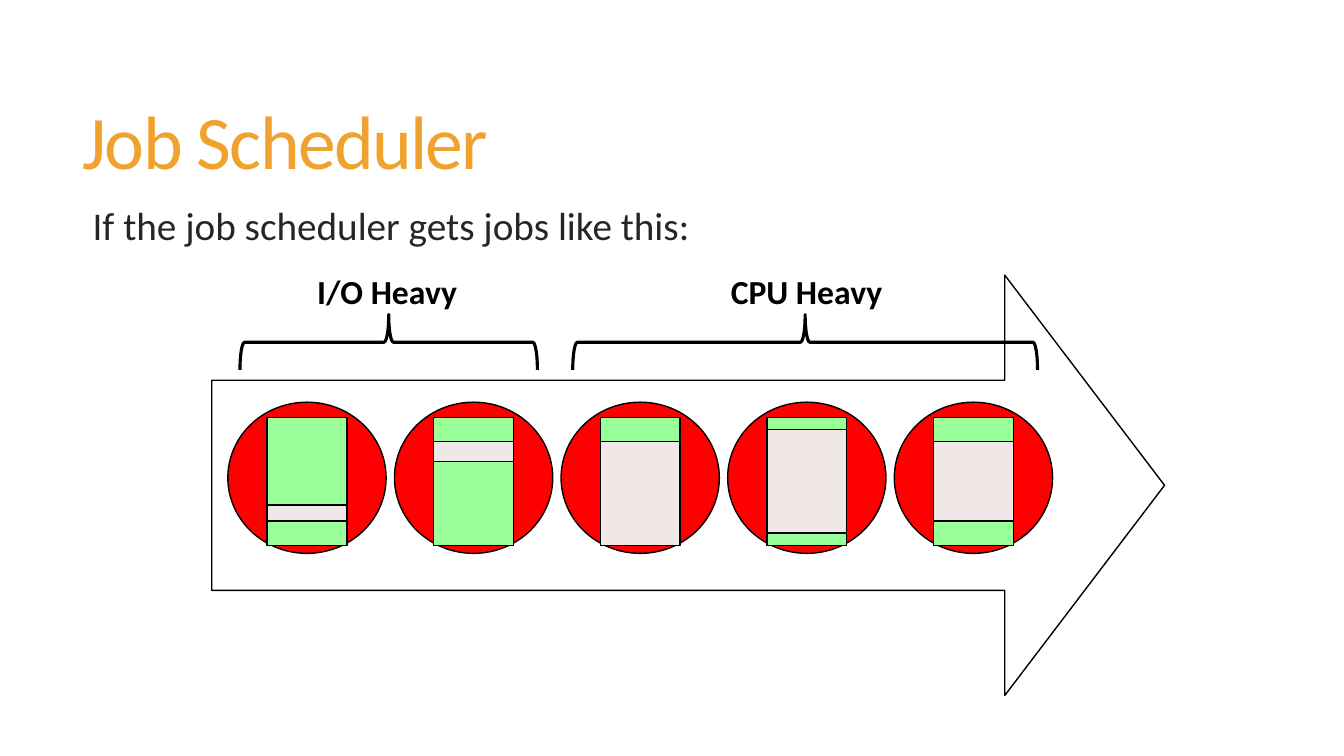
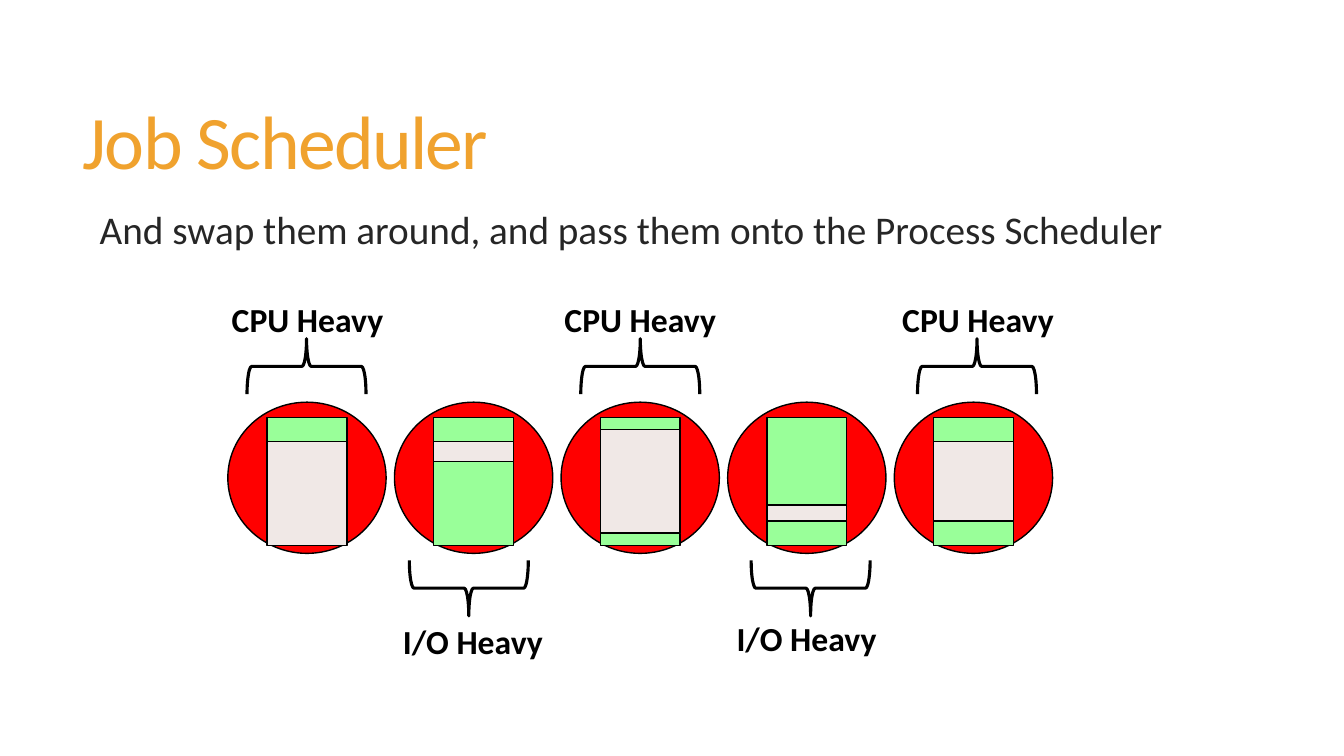
from pptx import Presentation
from pptx.dml.color import RGBColor
from pptx.enum.shapes import MSO_SHAPE
from pptx.enum.text import MSO_ANCHOR, PP_ALIGN
from pptx.util import Pt

OVAL, RECT = MSO_SHAPE.OVAL, MSO_SHAPE.RECTANGLE
ARROW, BRACE = MSO_SHAPE.RIGHT_ARROW, MSO_SHAPE.LEFT_BRACE
LEFT, CENTER = PP_ALIGN.LEFT, PP_ALIGN.CENTER
TOP, MIDDLE = MSO_ANCHOR.TOP, MSO_ANCHOR.MIDDLE

PX = 9144  # 100 px to the inch
COLORS = {
    "title": "F0A22E", "body": "262626", "black": "000000",
    "job": "FF0000", "io": "99FF99", "cpu": "F0E8E6",
}
TITLE = {"size": Pt(54), "bold": False, "color": "title", "align": LEFT,
         "anchor": MIDDLE, "line": 0.85, "indent": 0, "spacing": -120}
BODY = {"size": Pt(28), "bold": False, "color": "body", "align": LEFT,
        "anchor": TOP, "line": 0.85, "indent": 10, "spacing": 0}
LABEL = {"size": Pt(24), "bold": True, "color": "black", "align": CENTER,
         "anchor": TOP, "line": 1.0, "indent": 0, "spacing": 0}

# Bursts of each job from top to bottom, with their heights
JOBS = {
    "late io": [("io", 87), ("cpu", 16), ("io", 24)],
    "early io": [("io", 24), ("cpu", 20), ("io", 83)],
    "cpu to end": [("io", 24), ("cpu", 103)],
    "long cpu": [("io", 12), ("cpu", 103), ("io", 12)],
    "even cpu": [("io", 24), ("cpu", 79), ("io", 24)],
}
JOB_LEFT, JOB_TOP, JOB_PITCH = 226, 399, 165.25
JOB_WIDTH, JOB_HEIGHT = 157, 150
BURST_WIDTH, BURST_TOP = 79, 414
BRACE_DEPTH = 55
LABEL_WIDTH, LABEL_HEIGHT = 184, 50
UP, DOWN = 90, 270

# Braces: left, top, span, turn. Labels: text, left, top.
SLIDES = [
    {
        "body": ("If the job scheduler gets jobs like this:", 72, 202, 882),
        "arrow": True,
        "jobs": ["late io", "early io", "cpu to end", "long cpu", "even cpu"],
        "braces": [(238, 312, 295, UP), (568, 312, 461, UP)],
        "labels": [("I/O Heavy", 292, 264), ("CPU Heavy", 708, 264)],
    },
    {
        "body": ("And swap them around, and pass them onto the Process Scheduler",
                 79, 206, 1112),
        "arrow": False,
        "jobs": ["cpu to end", "early io", "long cpu", "late io", "even cpu"],
        "braces": [(245, 336, 118, UP), (576, 336, 118, UP), (910, 336, 118, UP),
                   (406, 556, 118, DOWN), (745, 556, 118, DOWN)],
        "labels": [("CPU Heavy", 213, 292), ("CPU Heavy", 543, 292),
                   ("CPU Heavy", 878, 292), ("I/O Heavy", 377, 611),
                   ("I/O Heavy", 708, 608)],
    },
]


def add_text(slide, text, left, top, width, height, style):
    box = slide.shapes.add_textbox(left * PX, top * PX, width * PX, height * PX)
    frame = box.text_frame
    frame.word_wrap = True
    frame.vertical_anchor = style["anchor"]
    paragraph = frame.paragraphs[0]
    paragraph.alignment = style["align"]
    paragraph.line_spacing = style["line"]
    paragraph._p.get_or_add_pPr().set("marL", str(style["indent"] * PX))
    run = paragraph.add_run()
    run.text = text
    for name, value in {"name": "Calibri", "size": style["size"], "bold": style["bold"]}.items():
        setattr(run.font, name, value)
    run.font.color.rgb = RGBColor.from_string(COLORS[style["color"]])
    run.font._element.set("spc", str(style["spacing"]))


def add_outlined(slide, kind, left, top, width, height, fill=None, weight=1):
    shape = slide.shapes.add_shape(
        kind, round(left * PX), round(top * PX), width * PX, height * PX)
    shape.shadow.inherit = False
    if fill:
        shape.fill.solid()
        shape.fill.fore_color.rgb = RGBColor.from_string(COLORS[fill])
    else:
        shape.fill.background()
    shape.line.color.rgb = RGBColor.from_string(COLORS["black"])
    shape.line.width = Pt(weight)
    return shape


deck = Presentation()
deck.slide_width, deck.slide_height = 1333 * PX, 750 * PX

for content in SLIDES:
    slide = deck.slides.add_slide(deck.slide_layouts[6])

    # Title and sentence
    add_text(slide, "Job Scheduler", 72, 55, 1178, 181, TITLE)
    sentence, left, top, width = content["body"]
    add_text(slide, sentence, left, top, width, 412, BODY)

    # Queue arrow
    if content["arrow"]:
        queue = add_outlined(slide, ARROW, 210, 273, 945, 417)
        queue.adjustments[0], queue.adjustments[1] = 0.5, 0.38

    # Jobs with their stacked bursts
    for place, job in enumerate(content["jobs"]):
        left = JOB_LEFT + place * JOB_PITCH
        add_outlined(slide, OVAL, left, JOB_TOP, JOB_WIDTH, JOB_HEIGHT, "job")
        burst_top = BURST_TOP
        for burst, height in JOBS[job]:
            add_outlined(slide, RECT, left + (JOB_WIDTH - BURST_WIDTH) / 2,
                         burst_top, BURST_WIDTH, height, burst)
            burst_top += height

    # Braces, turned about their centres
    for left, top, span, turn in content["braces"]:
        shift = (span - BRACE_DEPTH) / 2
        brace = add_outlined(slide, BRACE, left + shift, top - shift,
                             BRACE_DEPTH, span, weight=2.25)
        brace.rotation = turn

    # Brace labels
    for text, left, top in content["labels"]:
        add_text(slide, text, left, top, LABEL_WIDTH, LABEL_HEIGHT, LABEL)

deck.save("out.pptx")
